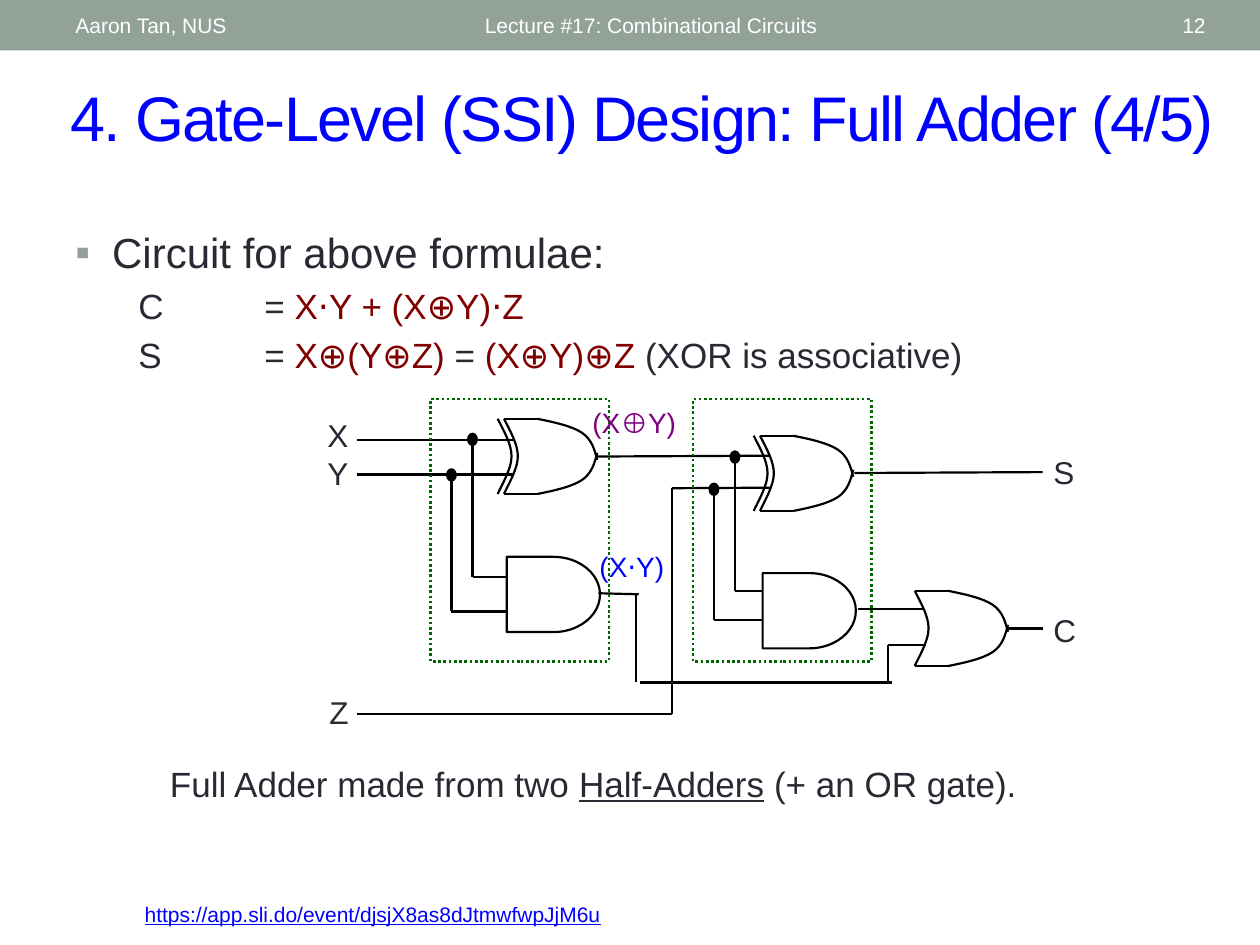
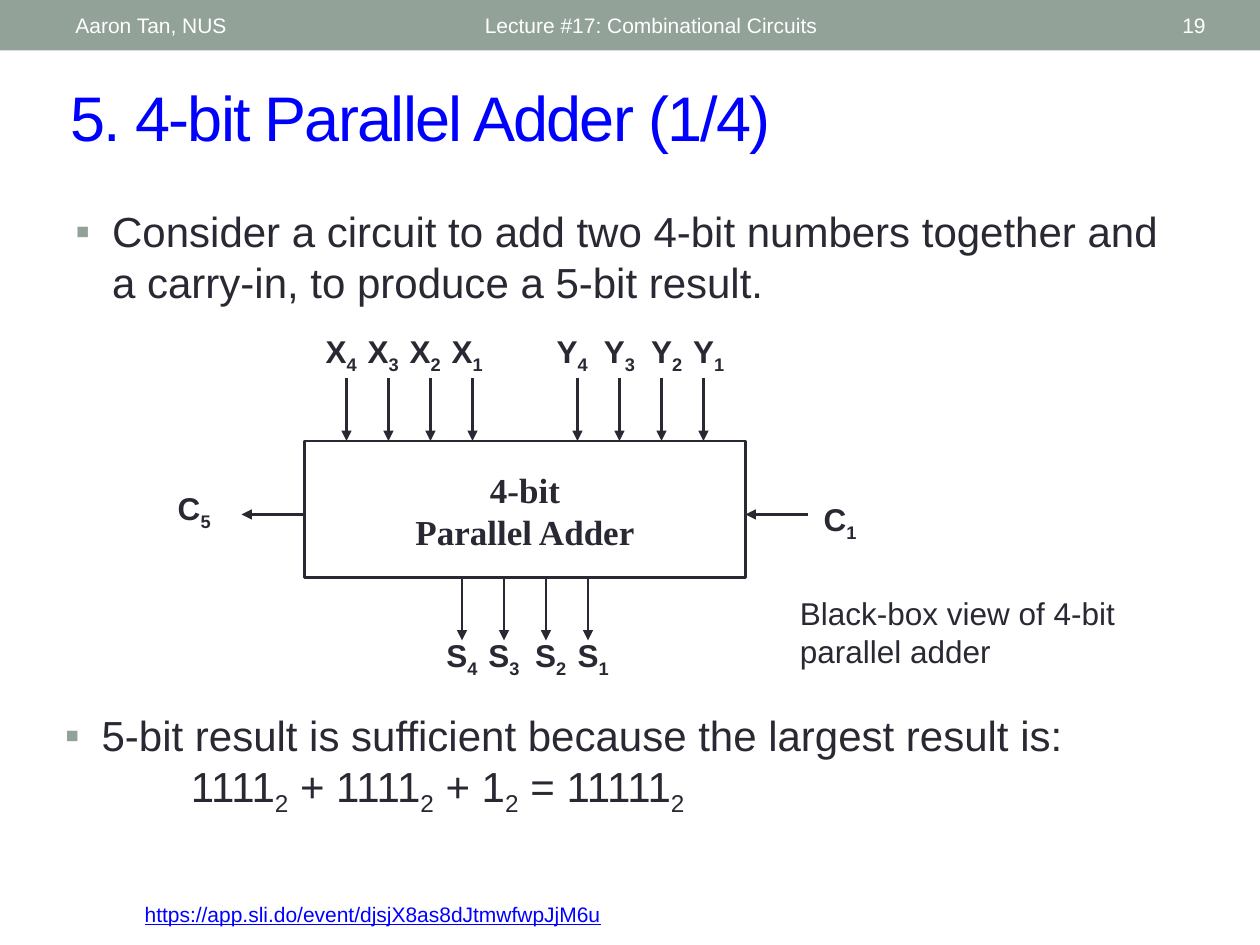
from collections import namedtuple
from itertools import pairwise

from lxml import etree
from pptx import Presentation
from pptx.dml.color import RGBColor
from pptx.enum import dml, shapes, text
from pptx.oxml import ns
from pptx.util import Pt

COLORS = {
    "band": "93A299", "white": "FFFFFF", "ink": "292934", "blue": "0000FF",
    "maroon": "800000", "purple": "800080", "wire": "000000", "frame": "006600",
}
Box = namedtuple("Box", "left top width height")
SLIDE = Box(0, 0, 720, 540)
GATE_WIDTH, GATE_HEIGHT = 53.3, 43
WIRE_WIDTH = 1.25
SUBSCRIPT = {"baseline": -25000}
CENTER = text.PP_ALIGN.CENTER


def rgb(name):
    return RGBColor.from_string(COLORS[name])


def emu(*lengths):
    return [Pt(length) for length in lengths]


def add_xml(parent, tag, **attributes):
    return etree.SubElement(parent, ns.qn(tag), attributes)


def write_span(para, words, size=18, color="ink", name="Arial", bold=False,
               underline=False, **raw):
    """Add one run; raw holds run attributes such as baseline or spc."""
    span = para.add_run()
    span.text = words
    for key, value in {"size": Pt(size), "name": name, "bold": bold,
                       "underline": underline}.items():
        setattr(span.font, key, value)
    span.font.color.rgb = rgb(color)
    for key, value in raw.items():
        span.font._element.set(key, str(value))


def write_para(para, spans, **style):
    """Spans are strings or (string, overrides); a lone newline breaks the line."""
    for span in [spans] if isinstance(spans, str) else spans:
        words, changes = (span, {}) if isinstance(span, str) else span
        if words == "\n":
            para.add_line_break()
        else:
            write_span(para, words, **{**style, **changes})


def indent(para, margin, first, bullet=None, tab=None):
    props = para._p.get_or_add_pPr()
    props.set("marL", str(Pt(margin)))
    props.set("indent", str(Pt(first)))
    if bullet:
        color = add_xml(props, "a:buClr")
        add_xml(color, "a:srgbClr", val=COLORS["band"])
        add_xml(props, "a:buFont", typeface="Arial")
        add_xml(props, "a:buChar", char=bullet)
    else:
        add_xml(props, "a:buNone")
    if tab:
        stops = add_xml(props, "a:tabLst")
        add_xml(stops, "a:tab", pos=str(Pt(tab)), algn="l")


def add_text(page, box, *lines, align=text.PP_ALIGN.LEFT, middle=False, **style):
    frame = page.shapes.add_textbox(*emu(*box)).text_frame
    frame.word_wrap = True
    frame.vertical_anchor = text.MSO_ANCHOR.MIDDLE if middle else text.MSO_ANCHOR.TOP
    for number, line in enumerate(lines):
        para = frame.add_paragraph() if number else frame.paragraphs[0]
        para.alignment = align
        write_para(para, line, **style)
    return frame


def add_bullet(page, box, spans, tab=None):
    frame = add_text(page, box)
    para = frame.paragraphs[0]
    indent(para, 21, -21, "▪", tab)
    write_para(para, spans, size=24)
    return frame


def style_shape(shape, fill=None, line=None, width=WIRE_WIDTH):
    shape.shadow.inherit = False
    if fill:
        shape.fill.solid()
        shape.fill.fore_color.rgb = rgb(fill)
    else:
        shape.fill.background()
    if line:
        shape.line.color.rgb = rgb(line)
        shape.line.width = Pt(width)
    else:
        shape.line.fill.background()
    return shape


def add_shape(page, kind, box, **look):
    return style_shape(page.shapes.add_shape(kind, *emu(*box)), **look)


def add_line(page, start, end, color="wire", arrow=False):
    line = page.shapes.add_connector(shapes.MSO_CONNECTOR.STRAIGHT, *emu(*start, *end))
    line.line.color.rgb = rgb(color)
    line.line.width = Pt(WIRE_WIDTH)
    props = line._element.spPr
    if arrow:
        add_xml(props.find(ns.qn("a:ln")), "a:tailEnd", type="triangle")
    add_xml(props, "a:effectLst")


def add_curve(page, left, top, points):
    """Open cubic curve: a start point, then three points to each piece."""
    points = [tuple(emu(left + x, top + y)) for x, y in points]
    builder = page.shapes.build_freeform(*points[0])
    builder.add_line_segments(points[1:], close=False)
    shape = style_shape(builder.convert_to_shape(), line="wire")
    outline = next(shape._element.iter(ns.qn("a:moveTo"))).getparent()
    segments = outline.findall(ns.qn("a:lnTo"))
    for first in range(0, len(segments), 3):
        piece = add_xml(outline, "a:cubicBezTo")
        for segment in segments[first:first + 3]:
            piece.append(segment[0])
            outline.remove(segment)


def or_gate(page, left, top, exclusive=False):
    back = [(0, 0), (3.6, 7.2), (7.9, 14.4), (7.9, 21.6),
            (7.9, 28.8), (1.4, 39.6), (0, GATE_HEIGHT)]
    upper = [(19, 0), (29, 2), (38.9, 4.2), (44.6, 8),
             (50.4, 12), (51.8, 17.8), (GATE_WIDTH, 23.5)]
    lower = [(x, GATE_HEIGHT - y) for x, y in upper]
    for points in (back, upper, lower):
        add_curve(page, left, top, points)
    for y in (top, top + GATE_HEIGHT):
        add_line(page, (left, y), (left + 19, y))
    if exclusive:
        add_curve(page, left - 3.6, top, back)


def half_adder(page, box, xor_at, and_at, inputs, and_inputs):
    """Dotted frame with both gates; each input branches down to the AND gate."""
    or_gate(page, box.left + xor_at[0], box.top + xor_at[1], exclusive=True)
    gate_left = box.left + and_at[0]
    add_shape(page, shapes.MSO_SHAPE.FLOWCHART_DELAY,
              (gate_left, box.top + and_at[1], GATE_WIDTH, GATE_HEIGHT), line="wire")
    for offset, start, end in zip((24, 12), inputs, and_inputs):
        x, start, end = box.left + offset, box.top + start, box.top + end
        add_line(page, (x, start), (x, end))
        add_line(page, (x, end), (gate_left, end))
        add_shape(page, shapes.MSO_SHAPE.OVAL, (x - 2.5, start - 3.2, 5, 6.4),
                  fill="wire", line="wire")
    frame = add_shape(page, shapes.MSO_SHAPE.RECTANGLE, box, line="frame", width=1.5)
    frame.line.dash_style = dml.MSO_LINE.ROUND_DOT


def full_adder_circuit(page, box):
    wires = [
        [(24, 23.3), (114, 23.3)],
        [(24, 43.2), (114, 43.2)],
        [(160.6, 32.9), (260, 32.4)],
        [(24, 180), (204, 180), (204, 51), (260, 50.7)],
        [(308.2, 42.3), (415.8, 41.8)],
        [(162, 111), (185, 111.6)],
        [(183.6, 111.4), (183.6, 162)],
        [(186, 162), (329.8, 162)],
        [(327.6, 162), (327.6, 140.8), (349.2, 140.8)],
        [(310.3, 119.8), (347.8, 119.8)],
        [(394.6, 131.2), (416.2, 131.2)],
    ]
    for wire in wires:
        for start, end in pairwise((box.left + x, box.top + y) for x, y in wire):
            add_line(page, start, end)
    half_adder(page, Box(box.left + 66, box.top, 102, 150), (42, 11.3), (43.6, 90.2),
               (23.1, 43.4), (101.8, 121.4))
    half_adder(page, Box(box.left + 216, box.top, 102, 150), (38.3, 21), (39.8, 99.5),
               (33.2, 51.6), (109.7, 126.2))
    or_gate(page, box.left + 342.7, box.top + 109.6)
    labels = [
        ((0, 6, 30, 43), ("X", "Y"), {}),
        ((1.2, 164.4, 30, 27), ("Z",), {}),
        ((414.9, 27.4, 30, 27), ("S",), {}),
        ((414.9, 117.6, 30, 27), ("C",), {}),
        ((151.4, 0, 65, 27), ("(X⊕Y)",), {"size": 16, "color": "purple"}),
        ((155.5, 82.3, 55, 26), ("(X⋅Y)",), {"size": 16, "color": "blue"}),
    ]
    for (x, y, width, height), lines, style in labels:
        add_text(page, (box.left + x, box.top + y, width, height), *lines, **style)


def signal_label(page, center, top, letter, digit):
    add_text(page, (center - 21, top, 42, 29), [letter, (str(digit), SUBSCRIPT)],
             align=CENTER, bold=True)


def parallel_adder(page, box):
    """The adder block with its arrows and signal names around it."""
    add_shape(page, shapes.MSO_SHAPE.RECTANGLE, box, line="ink", width=1.5)
    add_text(page, (box.left + 42, box.top + 12, 168, 55.5), "4-bit", "Parallel Adder",
             align=CENTER, size=20, name="Times New Roman", bold=True)
    bottom, right = box.top + box.height, box.left + box.width
    groups = [
        ("X", 24, box.top - 36, box.top - 66, (-3, -3, -3, -3)),
        ("Y", 156, box.top - 36, box.top - 66, (-3, 0, 3, 3)),
        ("S", 90, bottom, bottom + 30, (0, 0, 2.7, 3)),
    ]
    for letter, offset, arrow_top, label_top, nudges in groups:
        for place, nudge in enumerate(nudges):
            x = box.left + offset + 24 * place
            add_line(page, (x, arrow_top), (x, arrow_top + 36), "ink", arrow=True)
            signal_label(page, x + nudge, label_top, letter, 4 - place)
    carry = box.top + 42
    for start in (box.left, right + 36):
        add_line(page, (start, carry), (start - 36, carry), "ink", arrow=True)
    signal_label(page, box.left - 63, box.top + 24, "C", 5)
    signal_label(page, right + 54, box.top + 30, "C", 1)
    add_text(page, (right + 24, bottom + 6, 198, 50),
             "Black-box view of 4-bit parallel adder")


def start_page(deck, title, number):
    """Blank page with the header band, title and web address."""
    page = deck.slides.add_slide(deck.slide_layouts[6])
    add_shape(page, shapes.MSO_SHAPE.RECTANGLE, (0, 0, SLIDE.width, 28.8), fill="band")
    header = [(36, 228, "Aaron Tan, NUS", text.PP_ALIGN.LEFT),
              (270, 324, "Lecture #17: Combinational Circuits", text.PP_ALIGN.LEFT),
              (627.6, 68.4, str(number), text.PP_ALIGN.RIGHT)]
    for left, width, words, align in header:
        add_text(page, (left, 1.4, width, 26), words, align=align, middle=True,
                 size=12, color="white")
    add_text(page, (33.2, 41.5, 678, 50.4), title, middle=True, size=36, color="blue",
             spc=-100)
    add_text(page, (75.6, 511.6, 545, 21.6),
             "https://app.sli.do/event/djsjX8as8dJtmwfwpJjM6u",
             size=12, color="blue", underline=True)
    return page


def full_adder_page(deck):
    page = start_page(deck, "4. Gate-Level (SSI) Design: Full Adder (4/5)", 12)
    frame = add_bullet(page, (36, 126, 642, 348), "Circuit for above formulae:")
    maroon = {"color": "maroon"}
    formulae = [
        ["C\t= ", ("X⋅Y + (X⊕Y)⋅Z", maroon)],
        ["S\t= ", ("X⊕(Y⊕Z)", maroon), " = ", ("(X⊕Y)⊕Z ", maroon),
         "(XOR is associative)"],
    ]
    for formula in formulae:
        para = frame.add_paragraph()
        para.space_before = Pt(4)
        indent(para, 108, -72)
        write_para(para, formula, size=20)
    full_adder_circuit(page, Box(180, 228, 450, 196))
    add_text(page, (90, 432, 522, 42),
             ["Full Adder made from two ", ("Half-Adders", {"underline": True}),
              " (+ an OR gate)."], size=20)


def parallel_adder_page(deck):
    page = start_page(deck, "5. 4-bit Parallel Adder (1/4)", 19)
    add_bullet(page, (36, 114, 648, 72), "Consider a circuit to add two 4-bit numbers "
               "together and a carry-in, to produce a 5-bit result.")
    parallel_adder(page, Box(174, 252, 252, 78))
    two = ("2", SUBSCRIPT)
    add_bullet(page, (30, 402, 648, 72),
               ["5-bit result is sufficient because the largest result is:", "\n",
                "\t1111", two, " + 1111", two, " + 1", two, " = 11111", two], tab=72)


def main():
    deck = Presentation()
    deck.slide_width, deck.slide_height = emu(SLIDE.width, SLIDE.height)
    full_adder_page(deck)
    parallel_adder_page(deck)
    deck.save("out.pptx")


if __name__ == "__main__":
    main()
